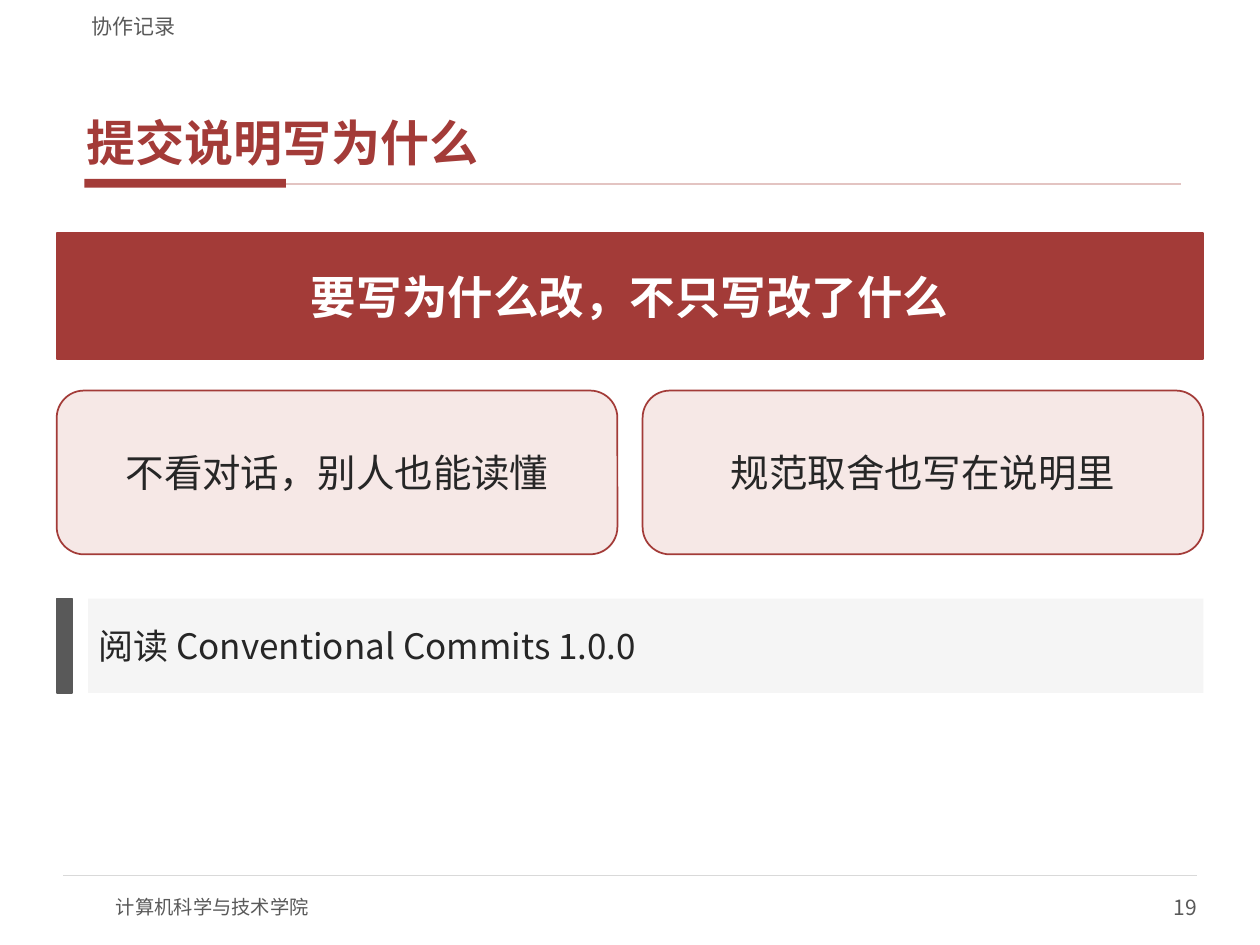
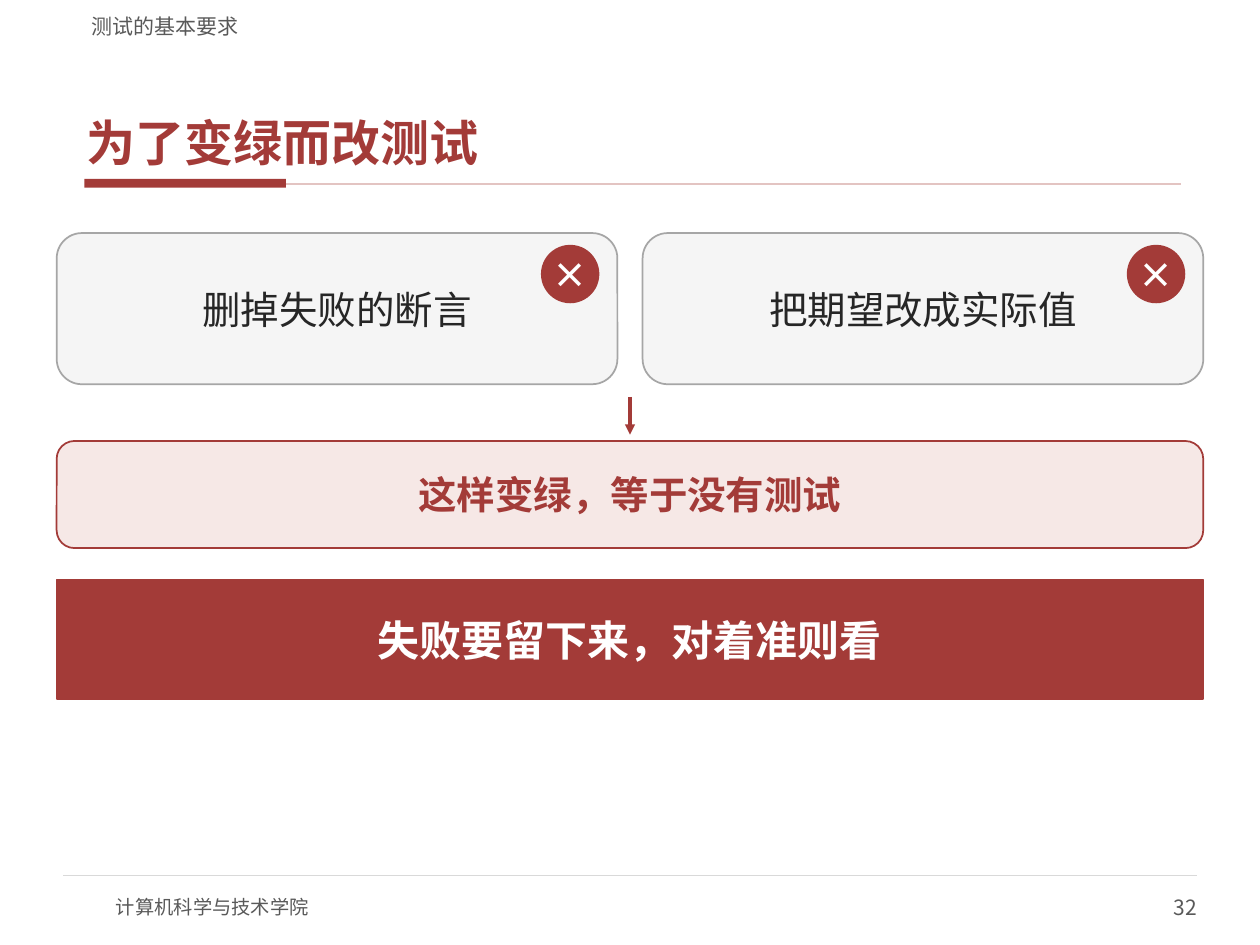
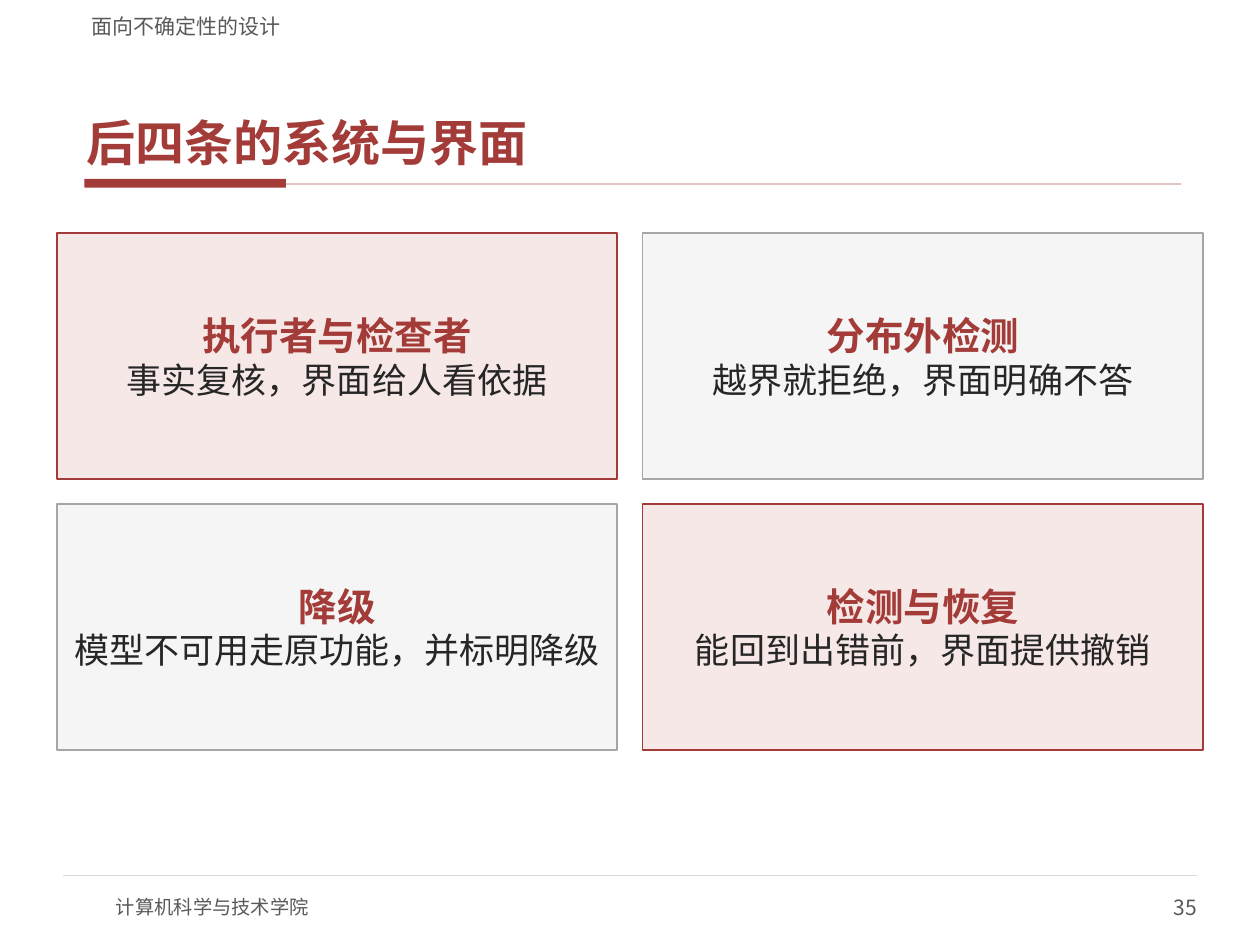
"""Builds three course slides on commit messages, tests and system design."""
from lxml import etree
from pptx import Presentation
from pptx.dml.color import RGBColor
from pptx.enum.shapes import MSO_CONNECTOR, MSO_SHAPE
from pptx.enum.text import MSO_ANCHOR, MSO_AUTO_SIZE, PP_ALIGN
from pptx.oxml.ns import qn
from pptx.util import Inches, Pt

RECT, ROUND, OVAL = MSO_SHAPE.RECTANGLE, MSO_SHAPE.ROUNDED_RECTANGLE, MSO_SHAPE.OVAL
STRAIGHT = MSO_CONNECTOR.STRAIGHT
LEFT, CENTER, RIGHT = PP_ALIGN.LEFT, PP_ALIGN.CENTER, PP_ALIGN.RIGHT
MIDDLE, BOTTOM = MSO_ANCHOR.MIDDLE, MSO_ANCHOR.BOTTOM
NO_FIT = MSO_AUTO_SIZE.NONE

RED = RGBColor(0xA3, 0x3B, 0x38)
PINK = RGBColor(0xF6, 0xE8, 0xE6)
ROSE = RGBColor(0xE3, 0xC4, 0xC2)
INK = RGBColor(0x26, 0x26, 0x26)
SLATE = RGBColor(0x59, 0x59, 0x59)
GRAY = RGBColor(0xA6, 0xA6, 0xA6)
SILVER = RGBColor(0xD9, 0xD9, 0xD9)
PALE = RGBColor(0xF5, 0xF5, 0xF5)
WHITE = RGBColor(0xFF, 0xFF, 0xFF)

FONT = "Noto Sans CJK SC"
FOOTER = "计算机科学与技术学院"
ROWS = 150
TOP = 37
MARGIN, COLUMN, GAP = 0.045, 0.445, 0.02
INSETS = (0.08, 0.04)


def assign(target, values):
    """Set each named attribute on the target."""
    for name, value in values.items():
        setattr(target, name, value)


class Deck:
    """Holds the style and the current slide; x is a share of the width, y a row."""

    def __init__(self):
        """Start an empty 4:3 presentation."""
        self.prs = Presentation()
        self.prs.slide_width, self.prs.slide_height = Inches(10), Inches(7.5)
        self.s = None

    def x(self, share):
        """Return a share of the slide width as a length."""
        return round(self.prs.slide_width * share)

    def y(self, row):
        """Return a number of rows as a length."""
        return round(self.prs.slide_height * row / ROWS)

    def frame(self, x, y, w, h):
        """Return the four lengths of a box."""
        return self.x(x), self.y(y), self.x(w), self.y(h)

    def columns(self, col, span, row, rows):
        """Return a content box on the two-column grid."""
        return (MARGIN + col * (COLUMN + GAP), TOP + row,
                span * COLUMN + (span - 1) * GAP, rows)

    def put_lines(self, sp, lines, align=LEFT, anchor=MIDDLE, insets=(0, 0), spacing=None):
        """Put (text, size, colour, bold) lines into a shape."""
        tf = sp.text_frame
        side, edge = map(Inches, insets)
        assign(tf, {"word_wrap": True, "auto_size": NO_FIT, "vertical_anchor": anchor,
                    "margin_left": side, "margin_right": side,
                    "margin_top": edge, "margin_bottom": edge})
        for i, (text, size, color, bold) in enumerate(lines):
            p = tf.add_paragraph() if i else tf.paragraphs[0]
            assign(p, {"alignment": align, **(spacing or {})})
            r = p.add_run()
            r.text = text
            assign(r.font, {"name": FONT, "size": Pt(size), "bold": bold})
            r.font.color.rgb = color
            etree.SubElement(r.font._element, qn("a:ea"), typeface=FONT)

    def text(self, box, *lines, **style):
        """Add a text box."""
        self.put_lines(self.s.shapes.add_textbox(*self.frame(*box)), lines, **style)

    def shape(self, kind, box, fill, line=None, lines=(), align=CENTER, insets=INSETS):
        """Add a filled preset shape with optional outline and text."""
        sp = self.s.shapes.add_shape(kind, *self.frame(*box))
        sp.shadow.inherit = False
        sp.fill.solid()
        sp.fill.fore_color.rgb = fill
        if line is None:
            sp.line.fill.background()
        else:
            sp.line.color.rgb, sp.line.width = line, Pt(1)
        if lines:
            self.put_lines(sp, lines, align, insets=insets)

    def line(self, x1, y1, x2, y2, color, width, arrow=False):
        """Add a straight connector, with an arrowhead at its end if asked."""
        c = self.s.shapes.add_connector(STRAIGHT, self.x(x1), self.y(y1),
                                        self.x(x2), self.y(y2))
        c.line.color.rgb, c.line.width = color, Pt(width)
        if arrow:
            etree.SubElement(c.line._get_or_add_ln(), qn("a:tailEnd"), type="triangle")
        etree.SubElement(c._element.spPr, qn("a:effectLst"))

    def slide(self, section, title, number):
        """Add a slide with its section, title, rules and footer."""
        self.s = self.prs.slides.add_slide(self.prs.slide_layouts[5])
        sp = self.s.shapes.title
        assign(sp, dict(zip(("left", "top", "width", "height"),
                            self.frame(0.063, 6.6, 0.875, 21))))
        self.put_lines(sp, [(title, 28, RED, True)], anchor=BOTTOM, insets=(0.06, 0.02),
                       spacing={"space_before": Pt(0), "space_after": Pt(2)})
        self.shape(RECT, (0.067, 28.4, 0.16, 1.4), RED)
        self.line(0.227, 29.2, 0.937, 29.2, ROSE, 1)
        self.line(0.05, 139, 0.95, 139, SILVER, 0.75)
        self.text((0.092, 140, 0.4, 8), (FOOTER, 11, SLATE, False))
        self.text((0.75, 140, 0.2, 8), (str(number), 12, SLATE, False), align=RIGHT)
        self.text((0.063, 0.8, 0.875, 5.4), (section, 12, SLATE, False),
                  anchor=BOTTOM, insets=(0.1, 0))

    def banner(self, row, rows, text, size):
        """Add a full-width red statement."""
        self.shape(RECT, self.columns(0, 2, row, rows), RED, RED,
                   [(text, size, WHITE, True)])

    def card(self, col, span, row, rows, lines, kind=ROUND, accent=True):
        """Add a pink or grey card on the grid."""
        fill, line = (PINK, RED) if accent else (PALE, GRAY)
        self.shape(kind, self.columns(col, span, row, rows), fill, line, lines)

    def cross(self, col, row):
        """Add a round cross mark in the upper right of a card."""
        x, y, w, _ = self.columns(col, 1, row, 0)
        self.shape(OVAL, (x + w - 0.06, y + 2, 0.045, 9), RED, RED,
                   [("×", 20, WHITE, True)], insets=(0, 0))

    def note(self, row, rows, text):
        """Add a grey note with a dark bar at its left."""
        x, y, w, h = self.columns(0, 2, row, rows)
        self.shape(RECT, (x, y, 0.012, h), SLATE, SLATE)
        self.shape(RECT, (x + 0.025, y, w - 0.025, h), PALE,
                   lines=[(text, 20, INK, False)], align=LEFT)


def main():
    """Build and save the slides."""
    deck = Deck()

    deck.slide("协作记录", "提交说明写为什么", 19)
    deck.banner(0, 20, "要写为什么改，不只写改了什么", 26)
    for col, text in enumerate(("不看对话，别人也能读懂", "规范取舍也写在说明里")):
        deck.card(col, 1, 25, 26, [(text, 22, INK, False)])
    deck.note(58, 15, "阅读 Conventional Commits 1.0.0")

    deck.slide("测试的基本要求", "为了变绿而改测试", 32)
    for col, text in enumerate(("删掉失败的断言", "把期望改成实际值")):
        deck.card(col, 1, 0, 24, [(text, 22, INK, False)], accent=False)
        deck.cross(col, 0)
    deck.line(0.5, TOP + 26, 0.5, TOP + 32, RED, 1.75, arrow=True)
    deck.card(0, 2, 33, 17, [("这样变绿，等于没有测试", 22, RED, True)])
    deck.banner(55, 19, "失败要留下来，对着准则看", 24)

    deck.slide("面向不确定性的设计", "后四条的系统与界面", 35)
    designs = (("执行者与检查者", "事实复核，界面给人看依据"),
               ("分布外检测", "越界就拒绝，界面明确不答"),
               ("降级", "模型不可用走原功能，并标明降级"),
               ("检测与恢复", "能回到出错前，界面提供撤销"))
    for i, (name, detail) in enumerate(designs):
        row, col = divmod(i, 2)
        deck.card(col, 1, row * 43, 39, [(name, 22, RED, True), (detail, 20, INK, False)],
                  kind=RECT, accent=row == col)

    deck.prs.save("out.pptx")


if __name__ == "__main__":
    main()
